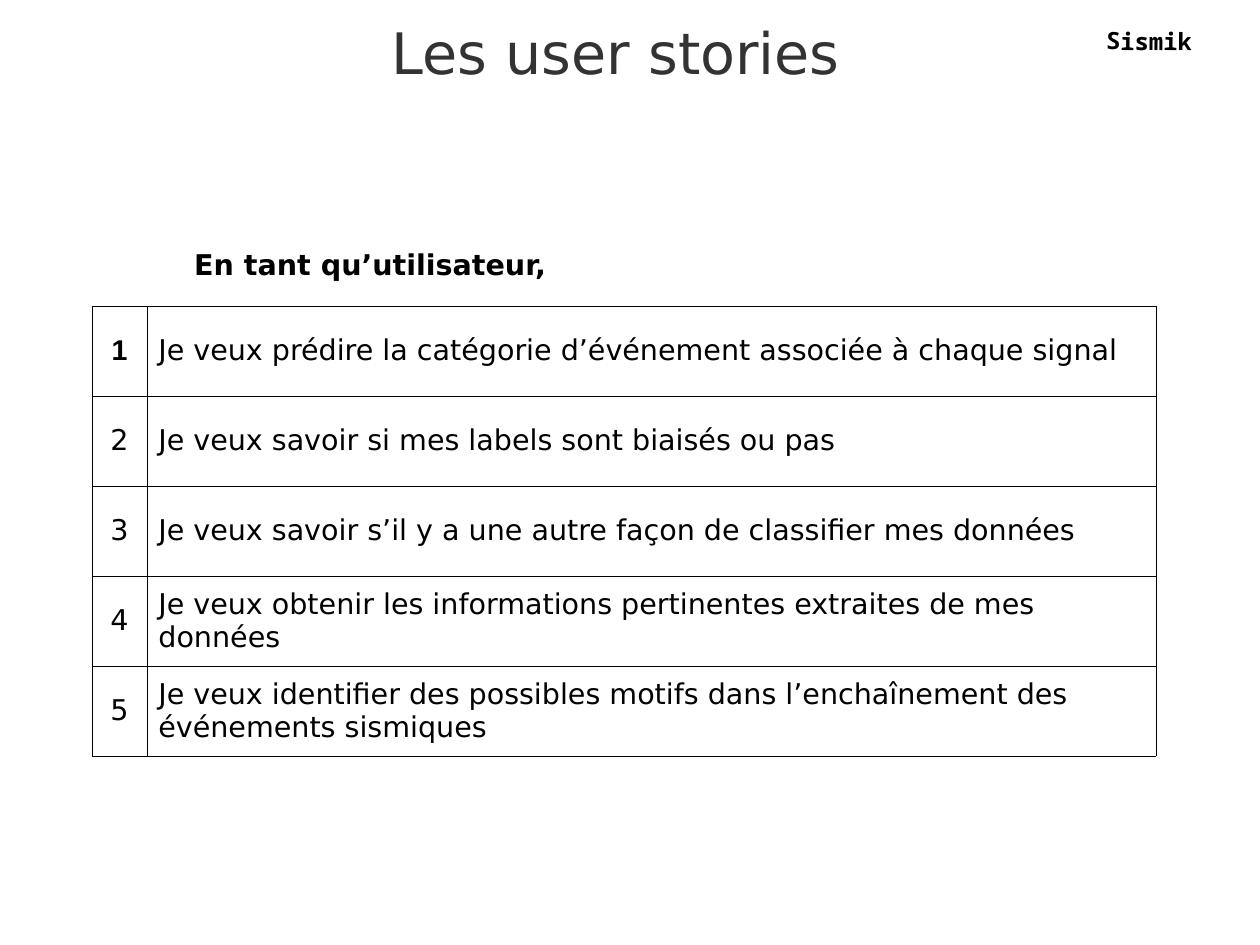
from lxml.etree import SubElement
from pptx import Presentation
from pptx.dml.color import RGBColor
from pptx.enum.text import MSO_ANCHOR as Anchor, PP_ALIGN as Align
from pptx.oxml.ns import qn
from pptx.util import Emu, Pt

SANS, ARIAL, MONO = "DejaVu Sans", "Arial", "Noto Sans Mono"
BLACK, GREY, WHITE = "000000", "333333", "FFFFFF"
COLUMN_WIDTHS = (55, 1009)
ROW_HEIGHT = 90
BORDER_WIDTH = Pt(0.57)

STORIES = [
    "Je veux prédire la catégorie d’événement associée à chaque signal",
    "Je veux savoir si mes labels sont biaisés ou pas",
    "Je veux savoir s’il y a une autre façon de classifier mes données",
    "Je veux obtenir les informations pertinentes extraites de mes données",
    "Je veux identifier des possibles motifs dans l’enchaînement des événements sismiques",
]


def px(length):
    return Emu(length * 8000)


def rgb(color):
    return RGBColor.from_string(color)


def add_run(paragraph, text, size, font=SANS, color=BLACK, bold=False):
    run = paragraph.add_run()
    run.text = text
    run.font.size = Pt(size)
    run.font.name = font
    run.font.bold = bold
    run.font.color.rgb = rgb(color)


def add_text(slide, box, text, size, align=Align.LEFT, anchor=Anchor.TOP,
             rotation=0, **style):
    shape = slide.shapes.add_textbox(*map(px, box))
    shape.rotation = rotation
    frame = shape.text_frame
    frame.word_wrap = True
    frame.vertical_anchor = anchor
    paragraph = frame.paragraphs[0]
    paragraph.alignment = align
    add_run(paragraph, text, size, **style)


def add_borders(cell, color):
    properties = cell._tc.get_or_add_tcPr()
    for side in ("lnL", "lnR", "lnT", "lnB"):
        line = SubElement(properties, qn(f"a:{side}"), w=str(BORDER_WIDTH))
        fill = SubElement(line, qn("a:solidFill"))
        SubElement(fill, qn("a:srgbClr"), val=color)


def fill_cell(cell, text, align, **style):
    add_borders(cell, BLACK)
    cell.fill.solid()
    cell.fill.fore_color.rgb = rgb(WHITE)
    cell.vertical_anchor = Anchor.MIDDLE
    paragraph = cell.text_frame.paragraphs[0]
    paragraph.alignment = align
    add_run(paragraph, text, 18, **style)


def add_story_table(slide, left, top):
    width, height = sum(COLUMN_WIDTHS), ROW_HEIGHT * len(STORIES)
    frame = slide.shapes.add_table(len(STORIES), len(COLUMN_WIDTHS),
                                   px(left), px(top), px(width), px(height))
    table = frame.table
    for column, column_width in zip(table.columns, COLUMN_WIDTHS):
        column.width = px(column_width)
    for index, story in enumerate(STORIES):
        table.rows[index].height = px(ROW_HEIGHT)
        # The first number stands out in bold Arial
        style = {"font": ARIAL, "bold": True} if index == 0 else {}
        fill_cell(table.cell(index, 0), str(index + 1), Align.CENTER, **style)
        fill_cell(table.cell(index, 1), story, Align.LEFT)


def main():
    presentation = Presentation()
    presentation.slide_width, presentation.slide_height = px(1260), px(945)
    slide = presentation.slides.add_slide(presentation.slide_layouts[6])

    # Header
    add_text(slide, (343, 0, 546, 103), "Les user stories", 36,
             Align.CENTER, Anchor.MIDDLE, color=GREY)
    add_text(slide, (1095, 21, 114, 40), "Sismik", 15,
             rotation=0.6, font=MONO, bold=True)

    # Stories
    add_story_table(slide, 92, 306)
    add_text(slide, (183, 241, 389, 78), "En tant qu’utilisateur,", 18, bold=True)

    presentation.save("out.pptx")


if __name__ == "__main__":
    main()
